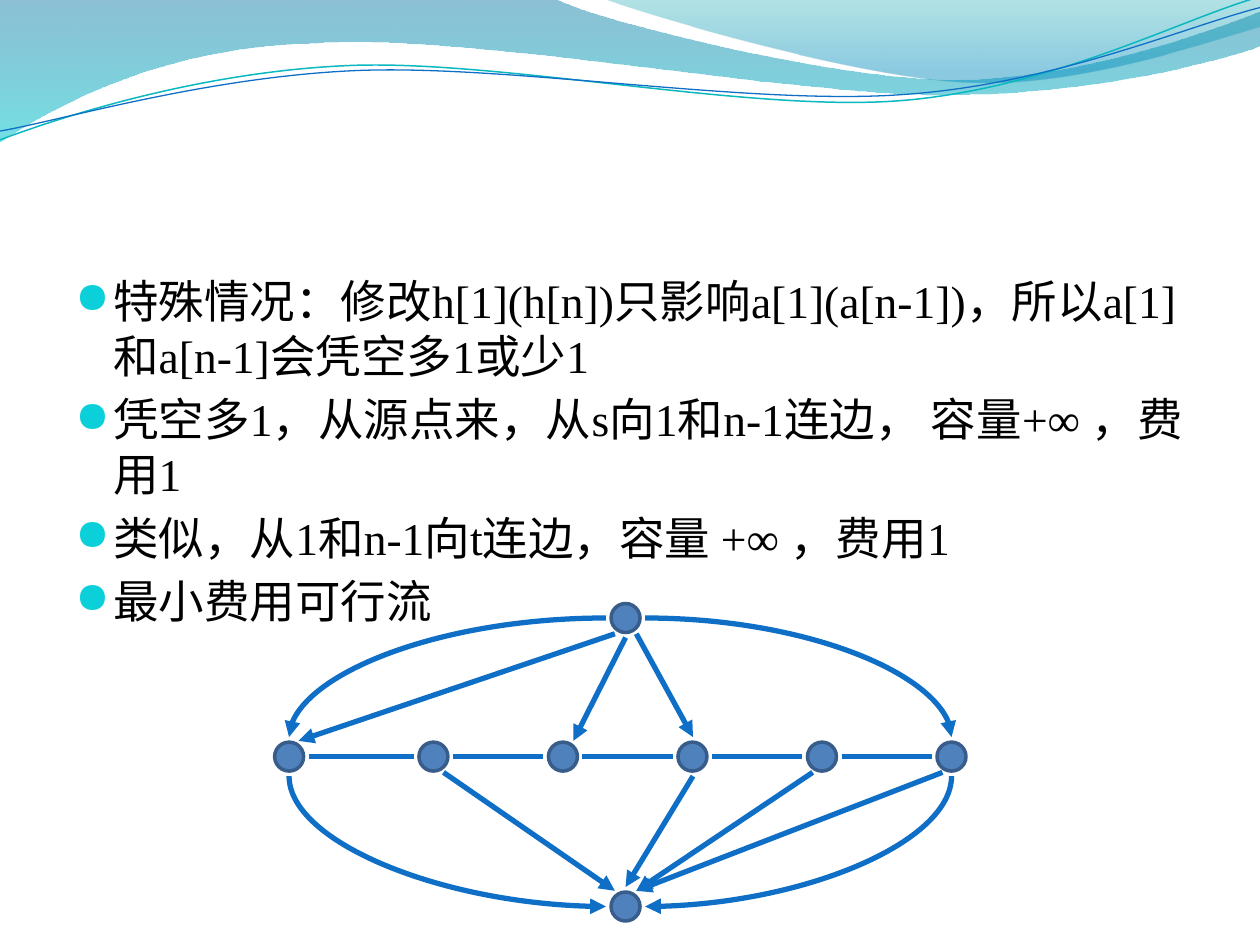
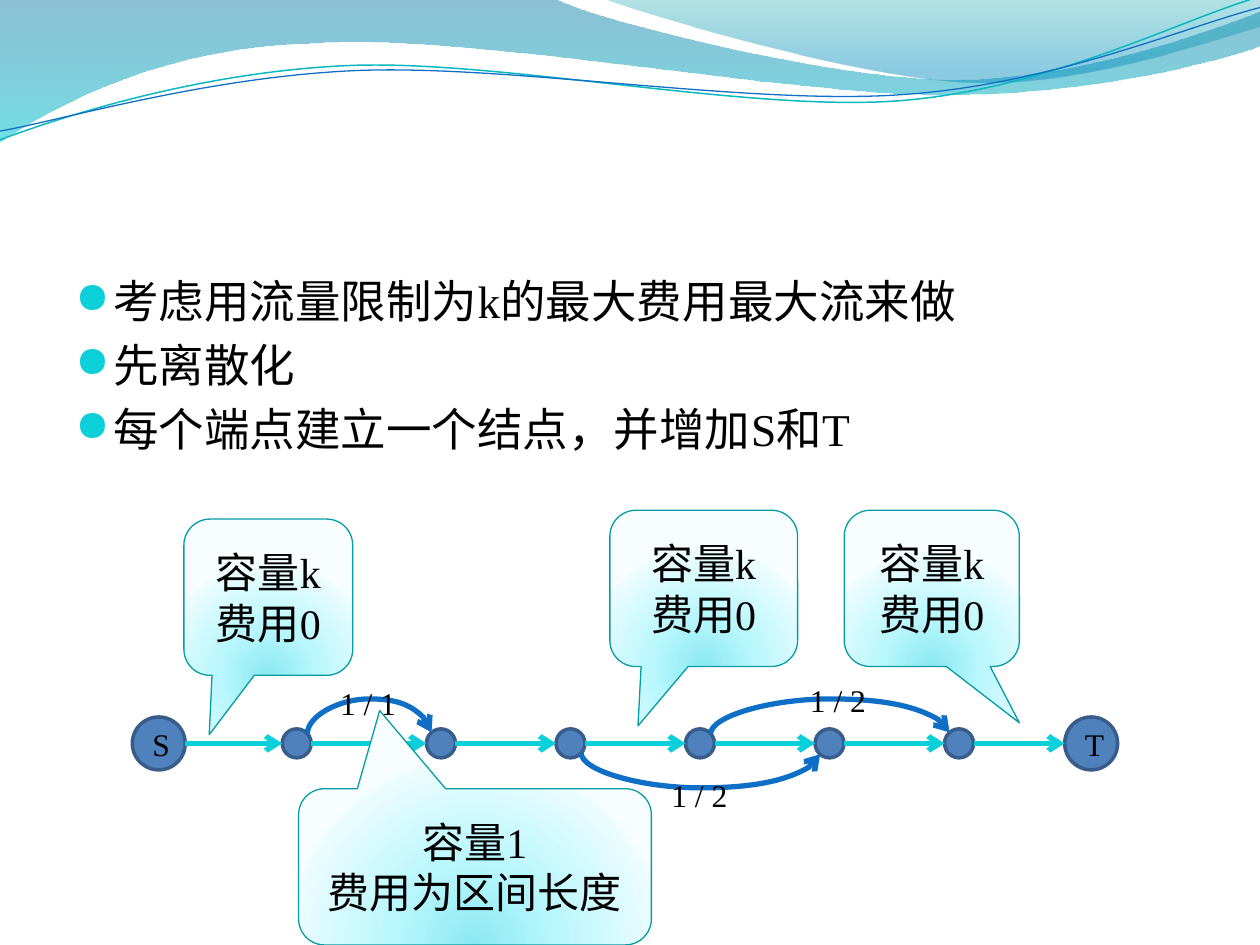
from math import cos, radians, sin
from lxml.etree import SubElement
from pptx import Presentation
from pptx.dml.color import RGBColor
from pptx.enum.shapes import MSO_CONNECTOR as CONNECTOR, MSO_SHAPE as SHAPE
from pptx.enum.text import MSO_ANCHOR as ANCHOR, PP_ALIGN as ALIGN
from pptx.oxml import parse_xml
from pptx.oxml.ns import nsdecls, qn
from pptx.util import Inches, Pt

BLACK = RGBColor(0x00, 0x00, 0x00)
BLUE = RGBColor(0x0F, 0x6F, 0xC6)
CYAN = RGBColor(0x0B, 0xD0, 0xD9)
TEAL = RGBColor(0x0A, 0xB8, 0xBF)
NODE_FILL = RGBColor(0x4F, 0x81, 0xBD)
NODE_LINE = RGBColor(0x38, 0x5D, 0x8A)
CALLOUT_LINE = RGBColor(0x06, 0x9C, 0xA3)
FONT = "Times New Roman"

presentation = Presentation()
presentation.slide_width, presentation.slide_height = Inches(10), Inches(7.5)
# Grid of 100 columns by 75 rows; every place below is counted in it
COLUMN = presentation.slide_width / 100
ROW = presentation.slide_height / 75


def write_text(frame, lines, size=24, align=ALIGN.LEFT, anchor=ANCHOR.MIDDLE,
               wrap=True, bullet=False):
    frame.word_wrap, frame.vertical_anchor = wrap, anchor
    for index, line in enumerate(lines):
        paragraph = frame.paragraphs[0] if index == 0 else frame.add_paragraph()
        paragraph.alignment = align
        run = paragraph.add_run()
        run.text = line
        run.font.name, run.font.size = FONT, Pt(size)
        run.font.color.rgb = BLACK
        if bullet:
            paragraph.space_before = Pt(size * 0.2)
            properties = paragraph._p.get_or_add_pPr()
            properties.set("marL", str(Inches(0.3)))
            properties.set("indent", str(-Inches(0.3)))
            color = SubElement(properties, qn("a:buClr"))
            SubElement(color, qn("a:srgbClr"), val=str(CYAN))
            SubElement(properties, qn("a:buSzPct"), val="95000")
            SubElement(properties, qn("a:buFont"), typeface="OpenSymbol")
            SubElement(properties, qn("a:buChar"), char="●")


def connect(slide, start, end, color=BLUE, kind=CONNECTOR.STRAIGHT,
            arrow="triangle", arrow_at="tailEnd"):
    connector = slide.shapes.add_connector(
        kind, int(start[0] * COLUMN), int(start[1] * ROW),
        int(end[0] * COLUMN), int(end[1] * ROW))
    connector.line.color.rgb, connector.line.width = color, Pt(3)
    if arrow:
        SubElement(connector.line._get_or_add_ln(), qn("a:" + arrow_at), type=arrow)
    SubElement(connector.element.spPr, qn("a:effectLst"))
    return connector


# Slides with their bulleted body
BODIES = [
    ["特殊情况：修改h[1](h[n])只影响a[1](a[n-1])，所以a[1]和a[n-1]会凭空多1或少1",
     "凭空多1，从源点来，从s向1和n-1连边， 容量+∞ ，费用1",
     "类似，从1和n-1向t连边，容量 +∞ ，费用1",
     "最小费用可行流"],
    ["考虑用流量限制为k的最大费用最大流来做", "先离散化", "每个端点建立一个结点，并增加S和T"],
]
blank_layout = presentation.slide_layouts[6]
for body_lines in BODIES:
    slide = presentation.slides.add_slide(blank_layout)
    body = slide.shapes.add_textbox(int(5 * COLUMN), int(21.2 * ROW),
                                    int(90 * COLUMN), int(48 * ROW))
    write_text(body.text_frame, body_lines, size=26, anchor=ANCHOR.TOP, bullet=True)
flow, chain = presentation.slides

# Wave header: a start point, then cubic curves or straight steps of one point
BAND = [[(0, 0)], [(44, -0.1)],
        [(47.6, 1.7), (66.4, 6.3), (75.8, 6.3)], [(85.3, 6.3), (95.8, 2.6), (100, 0.9)],
        [(100.1, 3.6)],
        [(98.3, 4.4), (87, 7.6), (74.6, 7.5)], [(62.2, 7.5), (38.2, 2.8), (25.7, 3.4)],
        [(12.9, 3.6), (4.6, 8.3), (-0.1, 11.3)]]
CORNER = [[(47.9, -0.1)], [(50.9, 1.1), (68.2, 6.2), (76.9, 6.5)],
          [(85.6, 6.9), (96.1, 3.2), (100, 2.1)], [(100, 0)]]
TEAL_LINE = [[(0, 11.1)], [(4.8, 9.3), (15.8, 5.7), (27.7, 5.2)],
             [(39.5, 4.7), (59.3, 8.9), (71.3, 8)], [(83.3, 7.1), (93.8, 1.5), (99.8, -0.2)]]
BLUE_LINE = [[(0, 10.4)], [(4.7, 9.6), (16.4, 6.1), (28.3, 5.6)],
             [(40.3, 5.1), (59.7, 8.4), (71.7, 7.5)], [(83.6, 6.7), (94.1, 2.1), (100, 0.6)]]
# Gradient stops: position, colour, opacity (percent)
BAND_STOPS = [(0, "0074A1", 45), (100, "00C6CF", 55)]
CORNER_STOPS = [(0, "00A1A9", 30), (80, "008BBF", 45)]
CALLOUT_STOPS = [(0, "8BE9F1", 100), (43, "B9F7FD", 100),
                 (93, "EAFCFE", 100), (100, "F8FEFF", 100)]
DOWNWARD = '<a:lin ang="5400000" scaled="0"/>'
FROM_BELOW = ('<a:path path="circle"><a:fillToRect l="50000" t="130000" '
              'r="50000" b="-30000"/></a:path>')
TILT = 2.7
gradients = []
for wave, stops, line_color, line_width, pivot, tilt in [
        (BAND, BAND_STOPS, None, 0, (50, 5.6), 0),
        (CORNER, CORNER_STOPS, None, 0, (74, 3.4), 0),
        (TEAL_LINE, None, TEAL, 0.85, (49.9, 5.75), TILT),
        (BLUE_LINE, None, BLUE, 0.75, (49.95, 5.9), TILT)]:
    # Points before the shape is tilted about its pivot
    cosine, sine = cos(radians(tilt)), sin(radians(tilt))
    offsets = [(x - pivot[0], y - pivot[1]) for piece in wave for x, y in piece]
    points = [(int((pivot[0] + x * cosine - y * sine) * COLUMN),
               int((pivot[1] + x * sine + y * cosine) * ROW)) for x, y in offsets]
    builder = flow.shapes.build_freeform(*points[0])
    builder.add_line_segments(points[1:], close=bool(stops))
    shape = builder.convert_to_shape()
    shape.rotation = -tilt
    shape.shadow.inherit = False
    # Merge each three steps of a curve into one cubic step
    outline = next(shape.element.iter(qn("a:path")))
    steps = iter(outline.findall(qn("a:lnTo")))
    for piece in wave[1:]:
        curve_step = next(steps)
        if len(piece) == 3:
            curve_step.tag = qn("a:cubicBezTo")
            for _ in range(2):
                merged = next(steps)
                curve_step.append(merged[0])
                outline.remove(merged)
    if stops:
        shape.line.fill.background()
        gradients.append((shape, stops, DOWNWARD))
    else:
        shape.fill.background()
        shape.line.color.rgb, shape.line.width = line_color, Pt(line_width)
    # The layout carries the header for both slides
    blank_layout.shapes._spTree.append(shape.element)

# Nodes of both graphs: a row of six, then the source and the sink
FLOW_ROW, CHAIN_ROW, NODE, TERMINAL = 60.05, 59, 2.3, 4.2
flow_x = [22.95] + [34.4 + 10.28 * index for index in range(5)]
chain_x = [x + 0.6 for x in flow_x]
MIDDLE, TOP, BOTTOM = 49.65, 49.05, 71.95
nodes = [(flow, MIDDLE, TOP, NODE, "")]
nodes += [(flow, x, FLOW_ROW, NODE, "") for x in flow_x]
nodes += [(flow, MIDDLE, BOTTOM, NODE, "")]
nodes += [(chain, x, CHAIN_ROW, NODE, "") for x in chain_x]
nodes += [(chain, 12.6, CHAIN_ROW, TERMINAL, "S"), (chain, 86.6, CHAIN_ROW, TERMINAL, "T")]
for slide, x, y, diameter, label in nodes:
    shape = slide.shapes.add_shape(
        SHAPE.OVAL, int((x - diameter / 2) * COLUMN), int((y - diameter / 2) * ROW),
        int(diameter * COLUMN), int(diameter * ROW))
    shape.shadow.inherit = False
    shape.fill.solid()
    shape.fill.fore_color.rgb = NODE_FILL
    shape.line.color.rgb, shape.line.width = NODE_LINE, Pt(2)
    if label:
        write_text(shape.text_frame, [label], size=18)

# Slide 1: links in the row, arrows from the source and to the sink
GAP = 1.55
for left, right in zip(flow_x, flow_x[1:]):
    connect(flow, (left + GAP, FLOW_ROW), (right - GAP, FLOW_ROW), arrow=None)
for start, end in [((35.2, 61.3), (48.8, 70.7)), ((64.5, 61.3), (50.5, 70.7)),
                   ((74.8, 61.3), (50.5, 70.7)), ((MIDDLE, 50.6), (45.5, 58.8)),
                   ((48.8, 50.3), (23.7, 58.8)), ((50.5, 50.3), (55, 58.5)),
                   ((55, 61.6), (MIDDLE, 70.4))]:
    connect(flow, start, end)
for pole, direction, arrow_at in ((TOP, -1, "tailEnd"), (BOTTOM, 1, "headEnd")):
    for side, outer in ((-1, flow_x[0]), (1, flow_x[-1])):
        curve = connect(flow, (MIDDLE + side * GAP, pole),
                        (outer, FLOW_ROW + direction * GAP),
                        kind=CONNECTOR.CURVE, arrow_at=arrow_at)
        curve.element.spPr.find(qn("a:prstGeom")).set("prst", "curvedConnector2")

# Slide 2: chain of arrows from S to T
stops_x = [(12.6, TERMINAL)] + [(x, NODE) for x in chain_x] + [(86.6, TERMINAL)]
for (left, left_size), (right, right_size) in zip(stops_x, stops_x[1:]):
    connect(chain, (left + left_size / 2, CHAIN_ROW), (right - right_size / 2, CHAIN_ROW),
            color=CYAN, arrow="arrow")

# Slide 2: interval arcs, each a thin connector turned a quarter and its label
THICKNESS, BULGE = 0.1, 2.8
for first, last, upward, label, label_x, label_y in [
        (0, 1, 1, "1 / 1", 26, 53.8), (2, 4, -1, "1 / 2", 52.3, 61.1),
        (3, 5, 1, "1 / 2", 63.3, 53.6)]:
    left, right = chain_x[first] + 0.85, chain_x[last] - 0.75
    center_x, center_y = (left + right) / 2, CHAIN_ROW - upward * 0.82
    half_x, half_y = THICKNESS / 2, upward * (right - left) / 2
    arc = connect(chain, (center_x + half_x, center_y + half_y),
                  (center_x - half_x, center_y - half_y), kind=CONNECTOR.CURVE, arrow="arrow")
    properties = arc.element.spPr
    properties.find(qn("a:xfrm")).set("rot", str((180 - upward * 90) * 60000))
    guides = properties.find(qn("a:prstGeom")).find(qn("a:avLst"))
    SubElement(guides, qn("a:gd"), name="adj1",
               fmla=f"val {round(BULGE / THICKNESS * 100000)}")
    box = chain.shapes.add_textbox(int(label_x * COLUMN), int(label_y * ROW),
                                   int(6.5 * COLUMN), int(4 * ROW))
    write_text(box.text_frame, [label], size=18, anchor=ANCHOR.TOP, wrap=False)
    chain.shapes.add_group_shape([arc, box])

# Slide 2: callouts, with the place of the pointer's tip
for left, top, width, tip, lines in [
        (14.6, 41.2, 13.4, (-0.35, 0.88), ["容量k", "费用0"]),
        (23.7, 62.6, 28, (-0.27, -1), ["容量1", "费用为区间长度"]),
        (48.4, 40.5, 14.9, (-0.35, 0.88), ["容量k", "费用0"]),
        (67, 40.5, 13.9, (0.5, 0.86), ["容量k", "费用0"])]:
    shape = chain.shapes.add_shape(
        SHAPE.ROUNDED_RECTANGULAR_CALLOUT, int(left * COLUMN), int(top * ROW),
        int(width * COLUMN), int(12.4 * ROW))
    shape.adjustments[0], shape.adjustments[1] = tip
    shape.shadow.inherit = False
    shape.line.color.rgb, shape.line.width = CALLOUT_LINE, Pt(0.75)
    write_text(shape.text_frame, lines, align=ALIGN.CENTER)
    gradients.append((shape, CALLOUT_STOPS, FROM_BELOW))

# Gradient fills of waves and callouts
for shape, stops, direction in gradients:
    stop_list = "".join(
        f'<a:gs pos="{position * 1000}"><a:srgbClr val="{color}">'
        f'<a:alpha val="{opacity * 1000}"/></a:srgbClr></a:gs>'
        for position, color, opacity in stops)
    shape.fill.solid()
    solid = shape.element.spPr.find(qn("a:solidFill"))
    solid.getparent().replace(solid, parse_xml(
        f'<a:gradFill {nsdecls("a")} rotWithShape="1"><a:gsLst>{stop_list}</a:gsLst>'
        f'{direction}</a:gradFill>'))

presentation.save("out.pptx")
